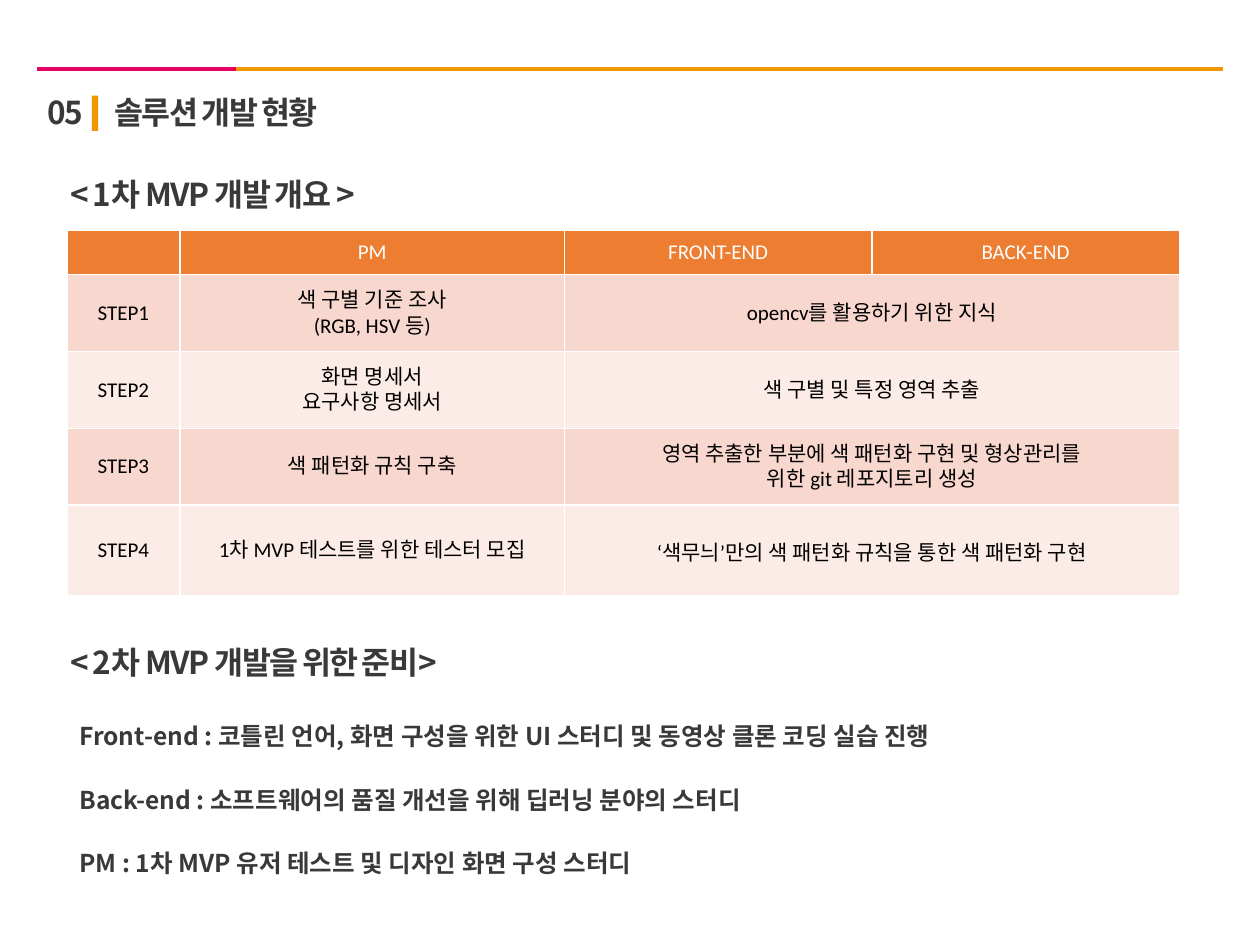
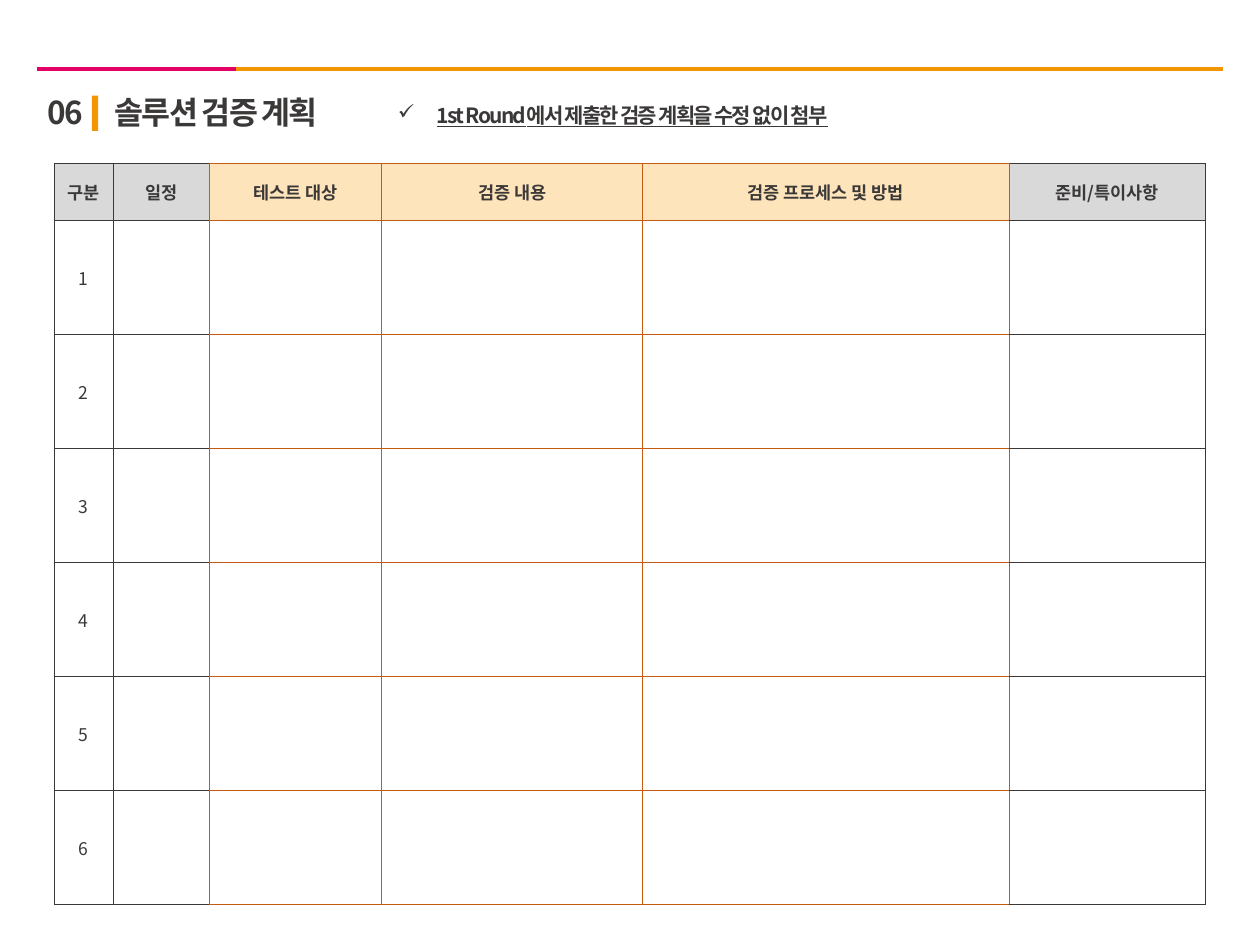
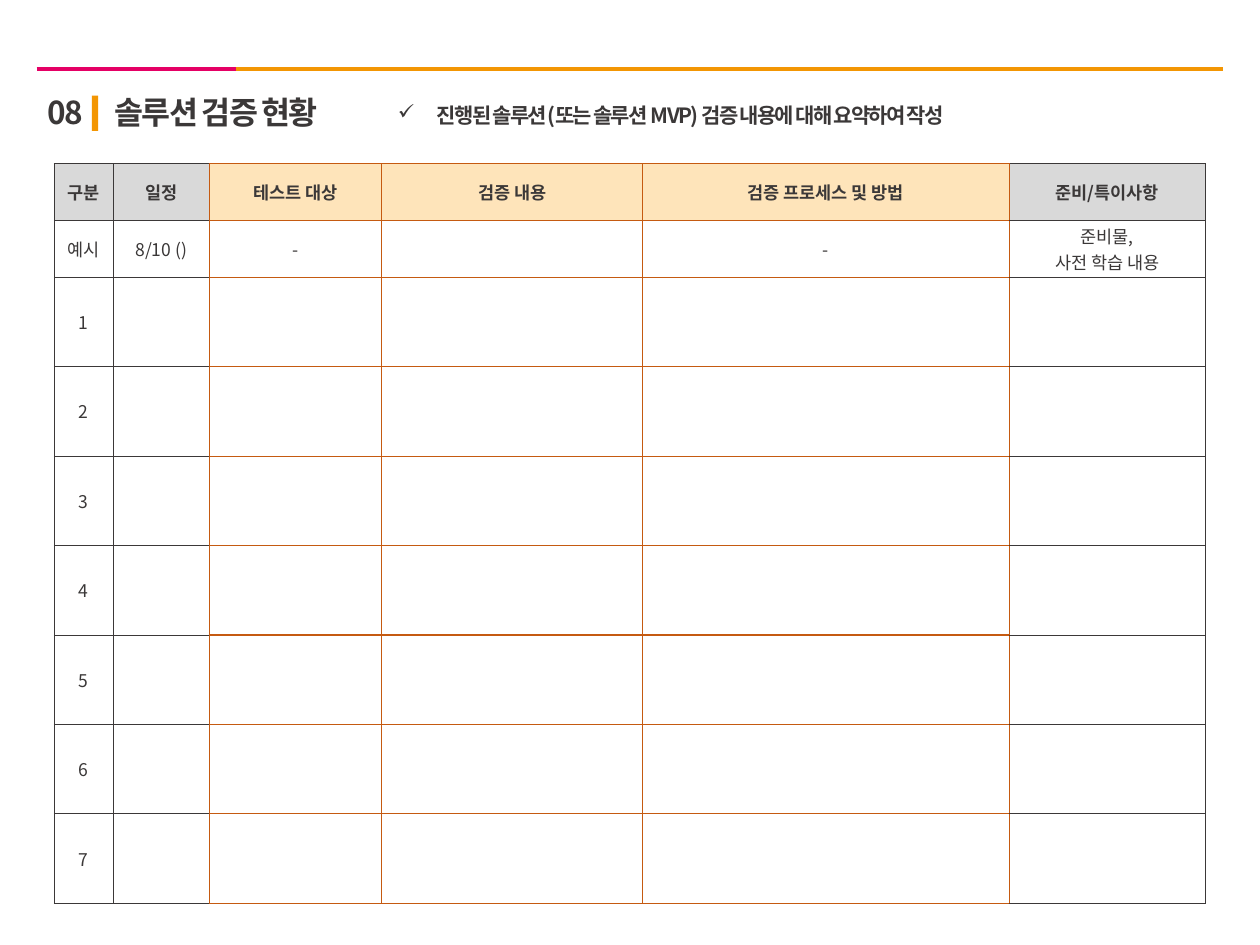
from lxml.etree import SubElement
from pptx import Presentation
from pptx.dml.color import RGBColor
from pptx.enum.shapes import MSO_CONNECTOR, MSO_SHAPE
from pptx.enum.text import MSO_ANCHOR, MSO_AUTO_SIZE, PP_ALIGN
from pptx.oxml.ns import qn
from pptx.util import Inches, Pt

DARK = RGBColor(0x3B, 0x38, 0x38)
BLACK = RGBColor(0, 0, 0)
WHITE = RGBColor(0xFF, 0xFF, 0xFF)
PINK = RGBColor(0xE5, 0x00, 0x65)
AMBER = RGBColor(0xF3, 0x96, 0x03)
ORANGE = RGBColor(0xED, 0x7D, 0x31)
RUST = RGBColor(0xC5, 0x5A, 0x11)
ROSE = RGBColor(0xF8, 0xD7, 0xCE)
PALE_ROSE = RGBColor(0xFC, 0xEC, 0xE8)
GREY = RGBColor(0xD9, 0xD9, 0xD9)
CREAM = RGBColor(0xFE, 0xE4, 0xBA)

KOREAN_FONT = "Noto Sans CJK KR"
TABLE_FONT = "Calibri"

TITLE_ONLY = 5
TITLE_AND_BODY = 1

OVERVIEW_HEADERS = ["", "PM", "FRONT-END", "BACK-END"]
OVERVIEW_STEPS = [
    ("색 구별 기준 조사\n(RGB, HSV 등)", "opencv를 활용하기 위한 지식"),
    ("화면 명세서\n요구사항 명세서", "색 구별 및 특정 영역 추출"),
    ("색 패턴화 규칙 구축", "영역 추출한 부분에 색 패턴화 구현 및 형상관리를\n위한 git 레포지토리 생성"),
    ("1차 MVP 테스트를 위한 테스터 모집", "‘색무늬’만의 색 패턴화 규칙을 통한 색 패턴화 구현"),
]
PREPARATIONS = [
    "Front-end : 코틀린 언어, 화면 구성을 위한 UI 스터디 및 동영상 클론 코딩 실습 진행",
    "Back-end : 소프트웨어의 품질 개선을 위해 딥러닝 분야의 스터디",
    "PM : 1차 MVP 유저 테스트 및 디자인 화면 구성 스터디",
]
PLAN_HEADERS = ["구분", "일정", "테스트 대상", "검증 내용", "검증 프로세스 및 방법", "준비/특이사항"]
PLAN_WIDTHS = [0.47, 0.76, 1.37, 2.07, 2.91, 1.56]
TEST_COLUMNS = range(2, 5)
EXAMPLE = ["예시", "8/10 ()", "-", "", "-", "준비물,\n사전 학습 내용"]


def style_paragraph(paragraph, size, color=DARK, name=KOREAN_FONT, bold=True, spacing=0):
    font = paragraph.font
    font.size = Pt(size)
    font.bold = bold
    font.color.rgb = color
    font.name = name
    properties = paragraph._p.pPr.find(qn("a:defRPr"))
    SubElement(properties, qn("a:ea")).set("typeface", name)
    if spacing:
        properties.set("spc", str(spacing))


def place(shape, left, top, width, height):
    shape.left, shape.top = Inches(left), Inches(top)
    shape.width, shape.height = Inches(width), Inches(height)
    frame = shape.text_frame
    frame.word_wrap = True
    frame.auto_size = MSO_AUTO_SIZE.NONE
    frame.vertical_anchor = MSO_ANCHOR.MIDDLE
    return frame


def write_heading(shape, text, left, top, width=4.51):
    frame = place(shape, left, top, width, 0.4)
    frame.text = text
    paragraph = frame.paragraphs[0]
    paragraph.alignment = PP_ALIGN.LEFT
    style_paragraph(paragraph, 18, spacing=-100)


def add_heading(page, text, left, top, width=4.51):
    write_heading(page.shapes.add_textbox(0, 0, 0, 0), text, left, top, width)


def add_master_rule(deck, page, start, end, color):
    line = page.shapes.add_connector(
        MSO_CONNECTOR.STRAIGHT, Inches(start), Inches(0.55), Inches(end), Inches(0.55))
    line.line.color.rgb = color
    line.line.width = Pt(2.25)
    SubElement(line._element.spPr, qn("a:effectLst"))
    deck.slide_master.element.cSld.spTree.append(line._element)


def add_page(deck, layout, number, title):
    page = deck.slides.add_slide(deck.slide_layouts[layout])
    write_heading(page.shapes.title, title, 0.81, 0.69)
    bar = page.shapes.add_shape(
        MSO_SHAPE.RECTANGLE, Inches(0.73), Inches(0.76), Inches(0.05), Inches(0.28))
    bar.shadow.inherit = False
    bar.fill.solid()
    bar.fill.fore_color.rgb = AMBER
    bar.line.fill.background()
    add_heading(page, number, 0.28, 0.69, 0.5)
    return page


def add_check_note(page, text, underline=False):
    frame = place(page.shapes.add_textbox(0, 0, 0, 0), 3.06, 0.73, 6.79, 0.33)
    frame.text = text
    paragraph = frame.paragraphs[0]
    paragraph.line_spacing = 1.2
    properties = paragraph._p.get_or_add_pPr()
    properties.set("marL", str(Inches(0.31)))
    properties.set("indent", str(-Inches(0.31)))
    SubElement(properties, qn("a:buChar")).set("char", "✓")
    style_paragraph(paragraph, 12, spacing=-100)
    if underline:
        paragraph.font.underline = True


def add_grid(page, left, top, widths, heights):
    frame = page.shapes.add_table(
        len(heights), len(widths), Inches(left), Inches(top),
        Inches(sum(widths)), Inches(sum(heights)))
    table = frame.table
    table.first_row = False
    table.horz_banding = False
    for column, width in zip(table.columns, widths):
        column.width = Inches(width)
    for row, height in zip(table.rows, heights):
        row.height = Inches(height)
    return table


def set_borders(cell, **borders):
    properties = cell._tc.get_or_add_tcPr()
    for side in "LRTB":
        color, width = borders.get(side, borders["default"])
        line = SubElement(properties, qn(f"a:ln{side}"), w=str(Pt(width)))
        fill = SubElement(line, qn("a:solidFill"))
        SubElement(fill, qn("a:srgbClr")).set("val", str(color))


def fill_cell(cell, text, fill, size, **style):
    cell.fill.solid()
    cell.fill.fore_color.rgb = fill
    cell.vertical_anchor = MSO_ANCHOR.MIDDLE
    cell.text = text
    for paragraph in cell.text_frame.paragraphs:
        paragraph.alignment = PP_ALIGN.CENTER
        style_paragraph(paragraph, size, **style)


def add_overview_table(page):
    table = add_grid(page, 0.53, 1.83, [0.9, 3.05, 2.44, 2.44], [0.35, 0.61, 0.61, 0.61, 0.72])
    rows = [OVERVIEW_HEADERS]
    for number, (manager, developers) in enumerate(OVERVIEW_STEPS, 1):
        rows.append([f"STEP{number}", manager, developers, ""])
    for row, texts in enumerate(rows):
        fill = ORANGE if row == 0 else ROSE if row % 2 else PALE_ROSE
        for column, text in enumerate(texts):
            cell = table.cell(row, column)
            set_borders(cell, default=(WHITE, 1))
            fill_cell(cell, text, fill, 12, name=TABLE_FONT, bold=False,
                      color=BLACK if row else WHITE)
        if row:
            table.cell(row, 2).merge(table.cell(row, 3))
    table.cell(len(OVERVIEW_STEPS), 2).text_frame.paragraphs[0].line_spacing = 1.2


def add_plan_table(page, rows, heights):
    table = add_grid(page, 0.43, 1.3, PLAN_WIDTHS, heights)
    dark, rust = (DARK, 0.5), (RUST, 0.75)
    for row, texts in enumerate([PLAN_HEADERS] + rows):
        for column, text in enumerate(texts):
            cell = table.cell(row, column)
            cell.margin_top = cell.margin_bottom = Inches(0.02)
            tested = column in TEST_COLUMNS
            if tested:
                set_borders(cell, default=rust)
            else:
                set_borders(cell, default=dark,
                            L=rust if column - 1 in TEST_COLUMNS else dark,
                            R=rust if column + 1 in TEST_COLUMNS else dark)
            header_fill = CREAM if tested else GREY
            fill_cell(cell, text, WHITE if row else header_fill, 10, bold=row == 0)


def numbered_rows(count):
    blanks = [""] * (len(PLAN_HEADERS) - 1)
    return [[str(number)] + blanks for number in range(1, count + 1)]


def add_preparations(page):
    frame = place(page.placeholders[1], 0.53, 5.53, 7.82, 1.58)
    frame.text = "\n".join(PREPARATIONS)
    for index, paragraph in enumerate(frame.paragraphs):
        paragraph.line_spacing = 1.2
        paragraph.space_before = Pt(16 if index else 0)
        properties = paragraph._p.get_or_add_pPr()
        properties.set("marL", "0")
        properties.set("indent", "0")
        SubElement(properties, qn("a:buNone"))
        style_paragraph(paragraph, 14)


def main():
    deck = Presentation()
    deck.slide_width, deck.slide_height = Inches(10), Inches(7.5)

    status = add_page(deck, TITLE_AND_BODY, "05", "솔루션 개발 현황")
    add_master_rule(deck, status, 0.29, 1.87, PINK)
    add_master_rule(deck, status, 1.87, 9.71, AMBER)
    add_overview_table(status)
    add_heading(status, "< 1차 MVP 개발 개요 >", 0.46, 1.34)
    add_heading(status, "< 2차 MVP 개발을 위한 준비>", 0.46, 5.05)
    add_preparations(status)

    plan = add_page(deck, TITLE_ONLY, "06", "솔루션 검증 계획")
    add_plan_table(plan, numbered_rows(6), [0.45] + [0.905] * 6)
    add_check_note(plan, "1st Round에서 제출한 검증 계획을 수정 없이 첨부", underline=True)

    results = add_page(deck, TITLE_ONLY, "08", "솔루션 검증 현황")
    add_check_note(results, "진행된 솔루션(또는 솔루션 MVP) 검증 내용에 대해 요약하여 작성")
    add_plan_table(results, [EXAMPLE] + numbered_rows(7), [0.45] * 2 + [0.71] * 7)

    deck.save("out.pptx")


if __name__ == "__main__":
    main()
